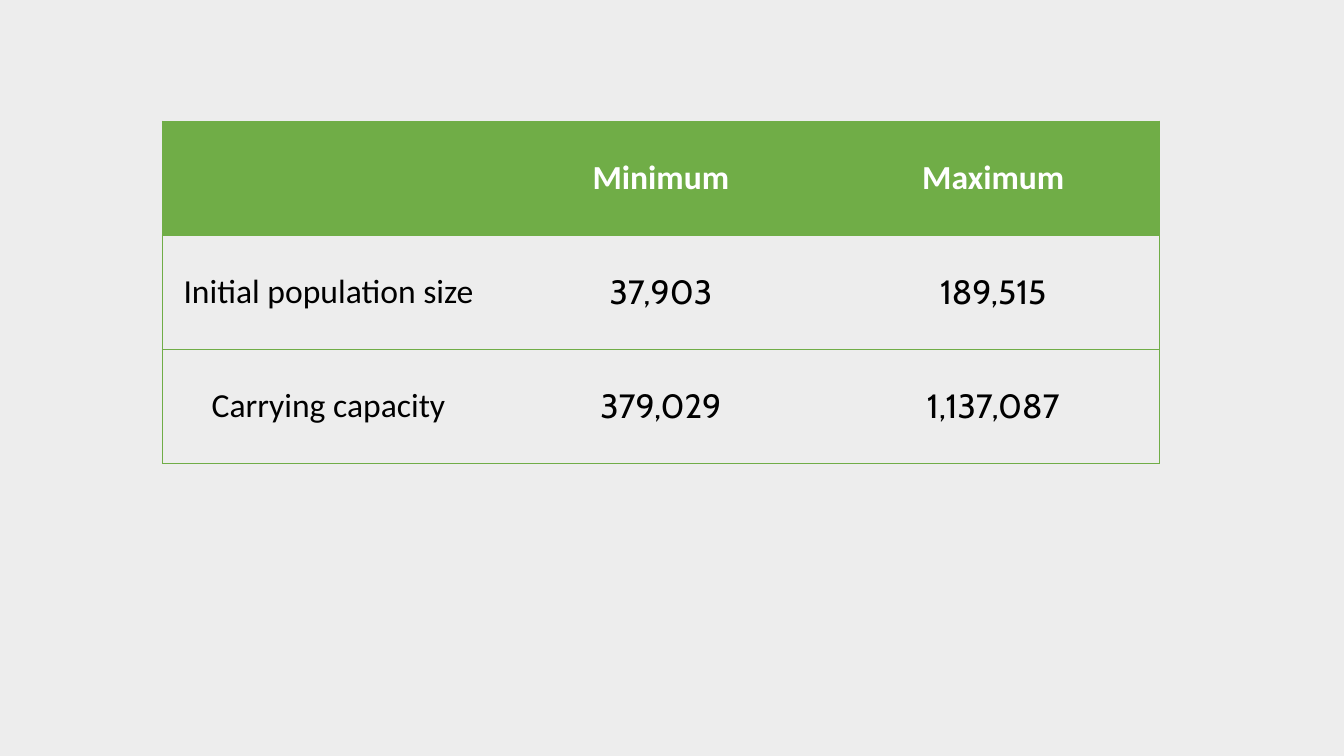
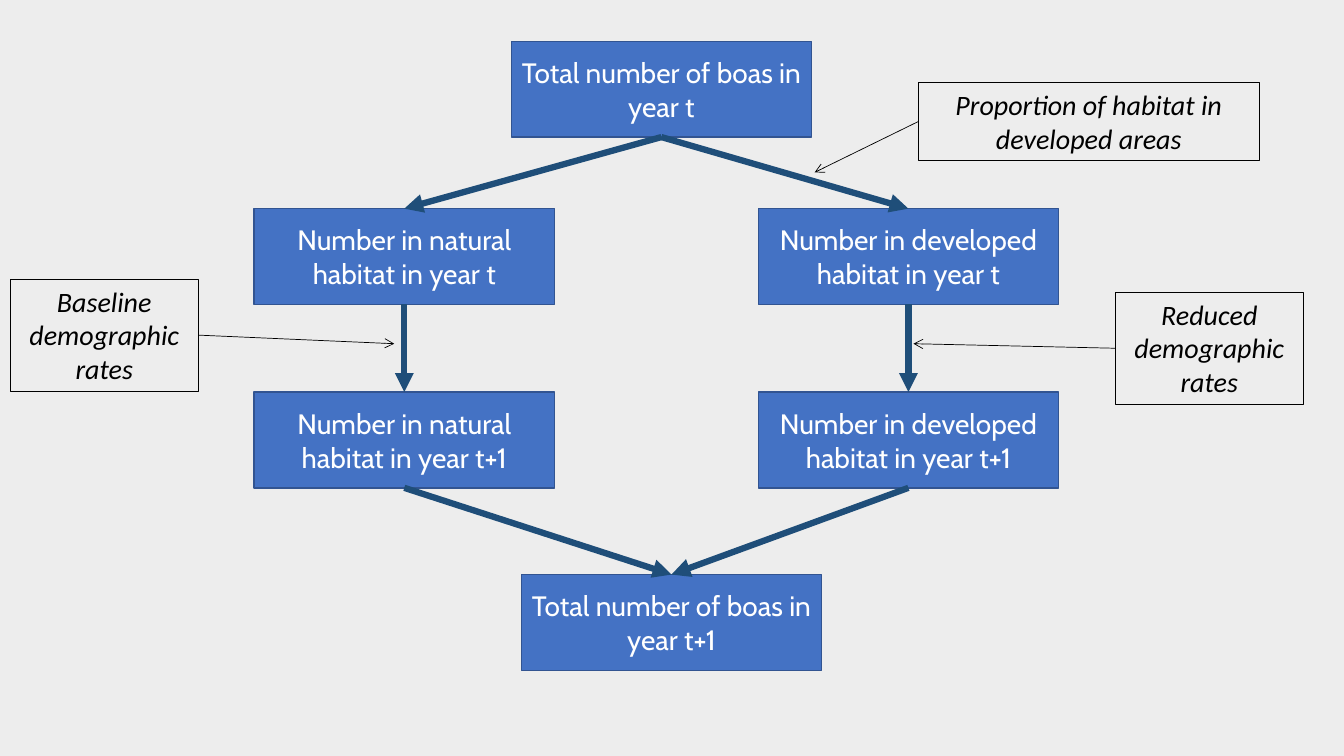
from lxml import etree
from pptx import Presentation
from pptx import util as u
from pptx.dml.color import RGBColor
from pptx.enum import shapes, text
from pptx.oxml.ns import qn

GREEN, BLUE, EDGE, NAVY = "70AD47", "4472C4", "325491", "1F4E79"
BLACK, WHITE, GREY = "000000", "FFFFFF", "EDEDED"


def paint(item, tone):
    if hasattr(item, "solid"):
        item.solid()
        item.fore_color.rgb = RGBColor.from_string(tone)
    else:
        item.color.rgb = RGBColor.from_string(tone)


def write(frame, words, size, face, tone, bold=False, slant=False):
    frame.text = words
    para = frame.paragraphs[0]
    para.alignment = text.PP_ALIGN.CENTER
    for run in para.runs:
        run.font.size = u.Pt(size)
        run.font.name = face
        run.font.bold = bold
        run.font.italic = slant
        paint(run.font, tone)


deck = Presentation()
deck.slide_width = u.Inches(13.33)
deck.slide_height = u.Inches(7.5)
paint(deck.slide_master.background.fill, GREY)
blank = deck.slide_layouts[6]

slide = deck.slides.add_slide(blank)
rows = [
    ["", "Minimum", "Maximum"],
    ["Initial population size", "37,903", "189,515"],
    ["Carrying capacity", "379,029", "1,137,087"],
]
table = slide.shapes.add_table(
    3, 3, u.Inches(1.61), u.Inches(1.2), u.Inches(9.89), u.Inches(3.4)
).table
for r, row in enumerate(rows):
    for c, words in enumerate(row):
        cell = table.cell(r, c)
        cell.vertical_anchor = text.MSO_ANCHOR.MIDDLE
        face = "Cabin" if r and c else "Calibri"
        write(cell.text_frame, words, 24, face, BLACK if r else WHITE, bold=r == 0)
        props = cell._tc.get_or_add_tcPr()
        sides = {"lnL": c == 0, "lnR": c == 2, "lnT": True, "lnB": True}
        for side, shown in sides.items():
            line = etree.SubElement(props, qn("a:" + side), w=str(u.Pt(0.5)))
            if shown:
                fill = etree.SubElement(line, qn("a:solidFill"))
                etree.SubElement(fill, qn("a:srgbClr"), val=GREEN)
            else:
                etree.SubElement(line, qn("a:noFill"))
        if r:
            cell.fill.background()
        else:
            paint(cell.fill, GREEN)

slide = deck.slides.add_slide(blank)
steps = {
    "start": (5.07, 0.41, "Total number of boas in year t"),
    "wild": (2.52, 2.07, "Number in natural habitat in year t"),
    "built": (7.52, 2.07, "Number in developed habitat in year t"),
    "wild next": (2.52, 3.89, "Number in natural habitat in year t+1"),
    "built next": (7.52, 3.89, "Number in developed habitat in year t+1"),
    "end": (5.17, 5.7, "Total number of boas in year t+1"),
}
boxes = {}
for key, (left, top, words) in steps.items():
    box = slide.shapes.add_shape(
        shapes.MSO_SHAPE.RECTANGLE,
        u.Inches(left), u.Inches(top), u.Inches(2.98), u.Inches(0.95),
    )
    box.shadow.inherit = False
    paint(box.fill, BLUE)
    paint(box.line, EDGE)
    box.line.width = u.Pt(1)
    box.text_frame.vertical_anchor = text.MSO_ANCHOR.MIDDLE
    write(box.text_frame, words, 20, "Cabin", WHITE)
    boxes[key] = box

links = []
for start, end in [
    ("start", "wild"), ("start", "built"),
    ("wild", "wild next"), ("built", "built next"),
    ("wild next", "end"), ("built next", "end"),
]:
    link = slide.shapes.add_connector(shapes.MSO_CONNECTOR.STRAIGHT, 0, 0, 0, 0)
    link.begin_connect(boxes[start], 2)
    link.end_connect(boxes[end], 0)
    links.append((link, NAVY, 4.5, "triangle"))

notes = [
    (9.11, 0.82, 3.38, 0.77, "Proportion of habitat in developed areas", 1, 8.08, 1.71),
    (0.1, 2.77, 1.87, 1.11, "Baseline demographic rates", 3, 3.91, 3.41),
    (11.06, 2.9, 1.87, 1.11, "Reduced demographic rates", 1, 9.06, 3.41),
]
for left, top, width, height, words, side, x, y in notes:
    note = slide.shapes.add_textbox(
        u.Inches(left), u.Inches(top), u.Inches(width), u.Inches(height)
    )
    note.text_frame.word_wrap = True
    note.text_frame.auto_size = text.MSO_AUTO_SIZE.SHAPE_TO_FIT_TEXT
    paint(note.line, BLACK)
    note.line.width = u.Pt(0.75)
    write(note.text_frame, words, 20, "Calibri", BLACK, slant=True)
    link = slide.shapes.add_connector(
        shapes.MSO_CONNECTOR.STRAIGHT, 0, 0, u.Inches(x), u.Inches(y)
    )
    link.begin_connect(note, side)
    links.append((link, BLACK, 0.5, "arrow"))

for link, tone, width, head in links:
    paint(link.line, tone)
    link.line.width = u.Pt(width)
    etree.SubElement(link.line._get_or_add_ln(), qn("a:tailEnd"), type=head)
    etree.SubElement(link._element.spPr, qn("a:effectLst"))

deck.save("out.pptx")
